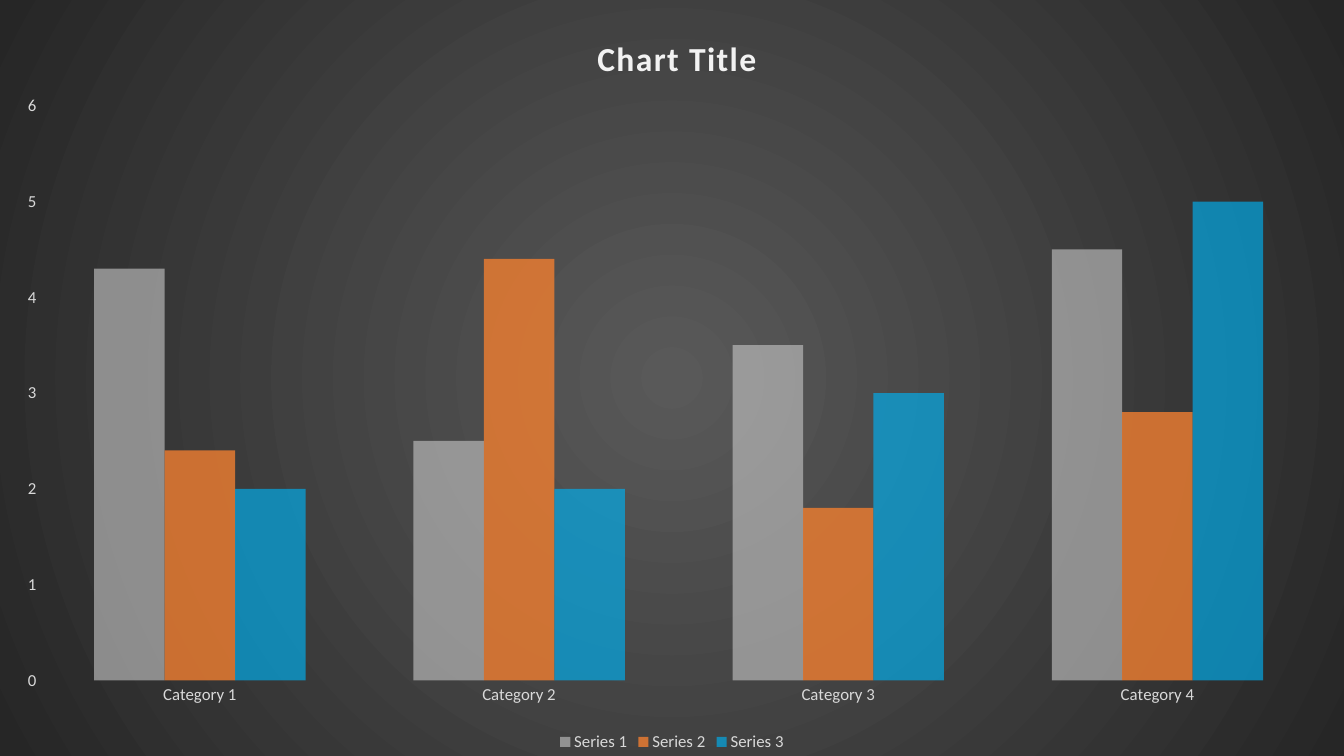
from dataclasses import dataclass

from lxml import etree
from pptx import Presentation
from pptx.chart.data import CategoryChartData
from pptx.dml.color import RGBColor
from pptx.enum.chart import XL_CHART_TYPE, XL_LEGEND_POSITION, XL_TICK_MARK
from pptx.oxml import parse_xml
from pptx.oxml.ns import nsdecls, qn
from pptx.util import Pt

COLUMNS = XL_CHART_TYPE.COLUMN_CLUSTERED
BOTTOM = XL_LEGEND_POSITION.BOTTOM
NO_TICK = XL_TICK_MARK.NONE


@dataclass(frozen=True)
class Theme:
    font: str = "Calibri"
    title_size: int = 24
    label_size: int = 12
    title: str = "F2F2F2"
    label: str = "D9D9D9"
    centre: str = "595959"
    edge: str = "262626"


THEME = Theme()
CATEGORIES = ["Category 1", "Category 2", "Category 3", "Category 4"]
# name, values, colour, opacity in percent
SERIES = [
    ("Series 1", (4.3, 2.5, 3.5, 4.5), "BFBFBF", 65),
    ("Series 2", (2.4, 4.4, 1.8, 2.8), "ED7D31", 82),
    ("Series 3", (2, 2, 3, 5), "00B0F0", 66),
]


def style_font(font, size, color):
    font.name = THEME.font
    font.size = Pt(size)
    font.color.rgb = RGBColor.from_string(color)


def set_layout(parent, position, **fractions):
    """Place a chart part by fractions of the chart area."""
    for old in parent.findall(qn("c:layout")):
        parent.remove(old)
    layout = etree.Element(qn("c:layout"))
    manual = etree.SubElement(layout, qn("c:manualLayout"))
    if "w" in fractions:
        etree.SubElement(manual, qn("c:layoutTarget")).set("val", "inner")
    for axis in "xy":
        etree.SubElement(manual, qn(f"c:{axis}Mode")).set("val", "edge")
    for key, value in fractions.items():
        etree.SubElement(manual, qn(f"c:{key}")).set("val", str(value))
    parent.insert(position, layout)


def set_background(chart):
    """Fill the chart area with a radial gradient."""
    sp_pr = parse_xml(
        f'<c:spPr {nsdecls("c", "a")}><a:gradFill><a:gsLst>'
        f'<a:gs pos="0"><a:srgbClr val="{THEME.centre}"/></a:gs>'
        f'<a:gs pos="100000"><a:srgbClr val="{THEME.edge}"/></a:gs>'
        '</a:gsLst><a:path path="circle">'
        '<a:fillToRect l="50000" t="50000" r="50000" b="50000"/>'
        '</a:path></a:gradFill><a:ln><a:noFill/></a:ln></c:spPr>')
    chart.element.find(qn("c:chart")).addnext(sp_pr)


def add_column_chart(s, left, top, width, height):
    data = CategoryChartData()
    data.categories = CATEGORIES
    for name, values, _, _ in SERIES:
        data.add_series(name, values)
    chart = s.shapes.add_chart(
        COLUMNS, Pt(left), Pt(top), Pt(width), Pt(height), data).chart
    style_font(chart.font, THEME.label_size, THEME.label)
    set_background(chart)

    # Title
    chart.has_title = True
    title = chart.chart_title
    title.include_in_layout = False
    r = title.text_frame.paragraphs[0].add_run()
    r.text = "Chart Title"
    style_font(r.font, THEME.title_size, THEME.title)
    r.font.bold = True
    r.font._element.set("spc", "100")
    set_layout(title._element, 1, x=0.44, y=0.04)

    # Axes
    for axis in (chart.category_axis, chart.value_axis):
        axis.has_major_gridlines = False
        axis.major_tick_mark = axis.minor_tick_mark = NO_TICK
        axis.format.line.fill.background()
        style_font(axis.tick_labels.font, THEME.label_size, THEME.label)
    chart.value_axis.minimum_scale = 0
    chart.value_axis.maximum_scale = 6
    chart.value_axis.major_unit = 1

    # Legend
    chart.has_legend = True
    chart.legend.position = BOTTOM
    chart.legend.include_in_layout = False
    style_font(chart.legend.font, THEME.label_size, THEME.label)

    # Columns
    plot = chart.plots[0]
    plot.gap_width = 153
    plot.overlap = 0
    plot.vary_by_categories = False
    for series, (_, _, color, opacity) in zip(plot.series, SERIES):
        fill = series.format.fill
        fill.solid()
        fill.fore_color.rgb = RGBColor.from_string(color)
        rgb = series._element.find(".//" + qn("a:srgbClr"))
        etree.SubElement(rgb, qn("a:alpha")).set("val", str(opacity * 1000))
        series.format.line.fill.background()
        series.invert_if_negative = False
    plot_area = chart.element.find(".//" + qn("c:plotArea"))
    set_layout(plot_area, 0, x=0.03, y=0.14, w=0.95, h=0.76)


def main():
    prs = Presentation()
    prs.slide_width, prs.slide_height = Pt(960), Pt(540)
    s = prs.slides.add_slide(prs.slide_layouts[6])
    add_column_chart(s, 0, 0, 960, 540)
    prs.save("out.pptx")


if __name__ == "__main__":
    main()
